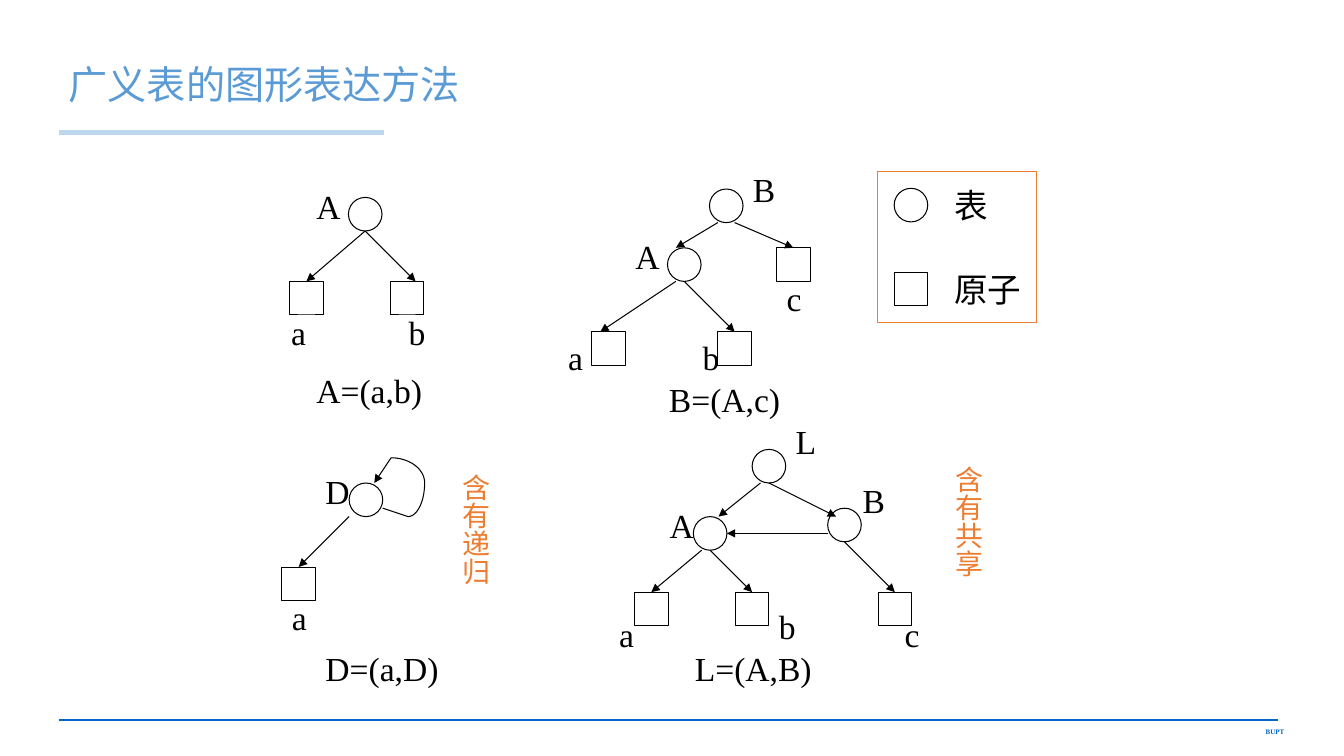
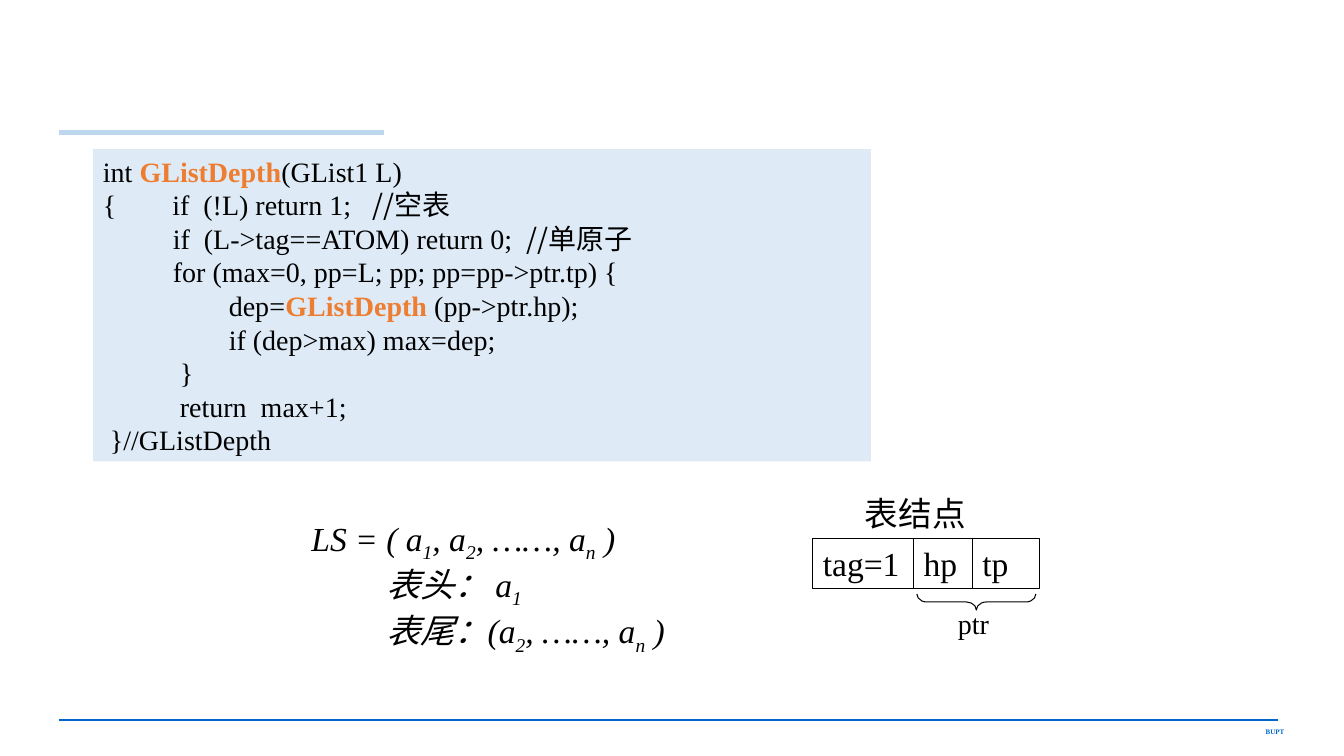
from math import cos, pi, sin

from lxml import etree
from pptx import Presentation
from pptx.dml.color import RGBColor
from pptx.enum.shapes import MSO_CONNECTOR as Link, MSO_SHAPE as Preset
from pptx.enum.text import MSO_ANCHOR as Anchor, PP_ALIGN as Align
from pptx.oxml.ns import qn
from pptx.util import Pt

BLACK, ORANGE, FOOTER_BLUE = "000000", "ED7D31", "0066CC"
TITLE_BLUE, BAND_BLUE, CODE_FILL = "5B9BD5", "BDD7EE", "DEEBF7"
SERIF, HAN = "Times New Roman", "Noto Sans CJK SC"
NODE = 24  # side of every node of a tree


def color(hex_text):
    return RGBColor.from_string(hex_text)


def style(span, size, hue=BLACK, font=SERIF, bold=False, italic=False):
    span.font.size, span.font.name = Pt(size), font
    span.font.bold, span.font.italic = bold, italic
    span.font.color.rgb = color(hue)
    etree.SubElement(span.font._element, qn("a:ea")).set("typeface", HAN)


def set_margins(frame, across=7.2, down=3.6):
    frame.word_wrap = True
    frame.margin_left = frame.margin_right = Pt(across)
    frame.margin_top = frame.margin_bottom = Pt(down)


def add_text(page, words, left, top, width, height=36, size=24, hue=BLACK,
             font=SERIF, bold=False, align=Align.LEFT, anchor=Anchor.TOP):
    box = page.shapes.add_textbox(Pt(left), Pt(top), Pt(width), Pt(height))
    frame = box.text_frame
    set_margins(frame)
    frame.vertical_anchor = anchor
    frame.text = words
    para = frame.paragraphs[0]
    para.alignment = align
    style(para.runs[0], size, hue, font, bold)
    return box


def add_outline(page, preset, left, top, width=NODE, height=NODE, hue=BLACK):
    shape = page.shapes.add_shape(preset, Pt(left), Pt(top), Pt(width), Pt(height))
    shape.shadow.inherit = False
    shape.fill.background()
    shape.line.color.rgb = color(hue)
    shape.line.width = Pt(0.75)
    return shape


def add_line(page, start, end, hue=BLACK, weight=0.75, arrow=False):
    line = page.shapes.add_connector(Link.STRAIGHT, *map(Pt, start + end))
    line.line.color.rgb = color(hue)
    line.line.width = Pt(weight)
    if arrow:
        outline = line.line._get_or_add_ln()
        etree.SubElement(outline, qn("a:tailEnd")).set("type", "triangle")
    etree.SubElement(line._element.spPr, qn("a:effectLst"))
    return line


def add_page(deck, title=None):
    page = deck.slides.add_slide(deck.slide_layouts[6])
    add_line(page, (42, 514), (913.5, 514), FOOTER_BLUE, 1.5)
    add_text(page, "BUPT", 828, 516, 97, 14, 5, FOOTER_BLUE, bold=True,
             align=Align.RIGHT)
    add_line(page, (42, 94.5), (274.5, 94.5), BAND_BLUE, 3.5)
    if title:
        add_text(page, title, 42, 26, 813, 68, 28, TITLE_BLUE, HAN,
                 anchor=Anchor.MIDDLE)
    return page


# Tree diagrams
def add_tree(page, left, top, circles, squares, arrows, labels):
    """Node corners, arrow ends and labels are relative to (left, top)."""
    def place(point):
        return left + point[0], top + point[1]

    for corner in circles:
        add_outline(page, Preset.OVAL, *place(corner))
    square_tops = {(x + NODE / 2, y): add_outline(page, Preset.RECTANGLE, *place((x, y)))
                   for x, y in squares}
    for start, end in arrows:
        arrow = add_line(page, place(start), place(end), arrow=True)
        if end in square_tops:
            arrow.end_connect(square_tops[end], 0)
    for words, x, y, width in labels:
        add_text(page, words, *place((x, y)), width)


def add_quarter_arc(page, center_x, center_y, across, down):
    """Quarter ellipse from (center_x, center_y + down) round to the right."""
    steps = 24
    angles = [pi / 2 * step / steps for step in range(steps + 1)]
    points = [(Pt(center_x + across * sin(angle)), Pt(center_y + down * cos(angle)))
              for angle in angles]
    builder = page.shapes.build_freeform(*points[0], scale=1.0)
    builder.add_line_segments(points[1:], close=False)
    arc = builder.convert_to_shape()
    arc.shadow.inherit = False
    arc.fill.background()
    arc.line.color.rgb = color(BLACK)
    arc.line.width = Pt(0.75)


def add_self_loop(page, left, top):
    add_quarter_arc(page, left, top + 18, 24, -18)
    add_quarter_arc(page, left + 12, top + 18, 12, 24)
    add_line(page, (left - 6, top + 36), (left + 12, top + 42))
    add_line(page, (left, top), (left - 12, top + 18), arrow=True)


def add_legend(page, left, top):
    add_outline(page, Preset.RECTANGLE, left, top, 114, 108, ORANGE)
    entries = [(Preset.OVAL, "表"), (Preset.RECTANGLE, "原子")]
    for row, (preset, words) in enumerate(entries):
        row_top = top + 60 * row
        add_outline(page, preset, left + 12, row_top + 12)
        add_text(page, words, left + 48, row_top + 6, 78)


def add_vertical_note(page, words, left, top):
    note = add_text(page, words, left, top, 38, 119, 20, ORANGE, align=Align.CENTER)
    set_margins(note.text_frame, 3.6, 7.2)
    note.text_frame._txBody.bodyPr.set("vert", "eaVert")


def build_graph_slide(deck):
    page = add_page(deck, "广义表的图形表达方法")
    add_tree(page, 201, 129, circles=[(48, 12)], squares=[(6, 72), (78, 72)],
             arrows=[((60, 36), (18, 72)), ((60, 36), (96, 72))],
             labels=[("A", 18, 0, 54), ("a", 0, 90, 42), ("b", 84, 90, 60),
                     ("A=(a,b)", 18, 132, 168)])
    add_tree(page, 399, 117, circles=[(108, 18), (78, 60)],
             squares=[(156, 60), (24, 120), (114, 120)],
             arrows=[((114, 42), (84, 60)), ((126, 42), (168, 60)),
                     ((84, 84), (30, 120)), ((90, 84), (126, 120))],
             labels=[("B", 132, 0, 54), ("A", 48, 48, 36), ("a", 0, 120, 30),
                     ("b", 96, 120, 36), ("c", 156, 78, 48),
                     ("B=(A,c)", 72, 150, 138)])
    add_tree(page, 201.5, 327, circles=[(48, 18)], squares=[(0, 78)],
             arrows=[((48, 42), (12, 78))],
             labels=[("D", 24, 6, 36), ("a", 0, 96, 24), ("D=(a,D)", 24, 132, 102)])
    add_self_loop(page, 279.5, 327)
    add_tree(page, 435.5, 297, circles=[(102, 24), (60, 72), (156, 66)],
             squares=[(18, 126), (90, 126), (192, 126)],
             arrows=[((108, 48), (78, 72)), ((114, 48), (162, 72)),
                     ((66, 96), (30, 126)), ((72, 96), (102, 126)),
                     ((168, 90), (204, 126)), ((156, 84), (84, 84))],
             labels=[("L", 126, 0, 36), ("A", 36, 60, 48), ("B", 174, 42, 30),
                     ("a", 0, 138, 30), ("b", 114, 132, 36), ("c", 204, 138, 30),
                     ("L=(A,B)", 54, 162, 162)])
    add_legend(page, 627, 122.5)
    add_vertical_note(page, "含有递归", 317.5, 331)
    add_vertical_note(page, "含有共享", 669.5, 325.5)


# Depth function: each line is a list of (text, kind) spans
CODE = [
    [("int ", ""), ("GListDepth", "name"), ("(GList1 L)", "")],
    [("{        if  (!L) return 1;   ", ""), ("//空表", "comment")],
    [("          if  (L->tag==ATOM) return 0;  ", ""), ("//单原子", "comment")],
    [("          for (max=0, pp=L; pp; pp=pp->ptr.tp) {", "")],
    [("                  dep=", ""), ("GListDepth ", "name"), ("(pp->ptr.hp);", "")],
    [("                  if (dep>max) max=dep;", "")],
    [("           }", "")],
    [("           return  max+1;", "")],
    [(" }//GListDepth", "")],
]
CODE_STYLES = {"": {}, "name": {"hue": ORANGE, "bold": True}, "comment": {"font": HAN}}

# List notation: (indent, spans), where every second span is a subscript
NOTATION = [
    (0, ["LS = ( a", "1", ", a", "2", ", ……, a", "n", " )"]),
    (54, ["表头： a", "1"]),
    (54, ["表尾：(a", "2", ", ……, a", "n", " )"]),
]


def add_paragraphs(frame, count, spacing):
    for _ in range(count - 1):
        frame.add_paragraph()
    for para in frame.paragraphs:
        para.alignment = Align.LEFT
        para.line_spacing = Pt(spacing)
    return frame.paragraphs


def add_code(page, left, top, width, height):
    panel = add_outline(page, Preset.RECTANGLE, left, top, width, height)
    panel.fill.solid()
    panel.fill.fore_color.rgb = color(CODE_FILL)
    panel.line.fill.background()
    frame = panel.text_frame
    set_margins(frame)
    frame.vertical_anchor = Anchor.TOP
    for para, spans in zip(add_paragraphs(frame, len(CODE), 24), CODE):
        for words, kind in spans:
            span = para.add_run()
            span.text = words
            style(span, 20, **CODE_STYLES[kind])


def add_notation(page, left, top, width, height):
    box = page.shapes.add_textbox(Pt(left), Pt(top), Pt(width), Pt(height))
    set_margins(box.text_frame)
    paras = add_paragraphs(box.text_frame, len(NOTATION), 33)
    for para, (indent, spans) in zip(paras, NOTATION):
        para._p.get_or_add_pPr().set("marL", str(Pt(indent)))
        for index, words in enumerate(spans):
            span = para.add_run()
            span.text = words
            style(span, 24, italic=True)
            if index % 2:
                span.font._element.set("baseline", "-25000")


def add_list_node(page, left, top):
    add_text(page, "表结点", left + 30, top, 108)
    cell_left = left
    for words, width in [("tag=1", 72), ("hp", 42), ("tp", 48)]:
        cell = add_outline(page, Preset.RECTANGLE, cell_left, top + 36, width, 36)
        set_margins(cell.text_frame)
        cell.text_frame.vertical_anchor = Anchor.TOP
        cell.text_frame.text = words
        para = cell.text_frame.paragraphs[0]
        para.alignment = Align.LEFT
        style(para.runs[0], 24)
        cell_left += width
    brace = add_outline(page, Preset.LEFT_BRACE, left + 111, top + 39, 11.5, 85)
    brace.rotation = 270
    brace.adjustments[0] = 0.62
    add_text(page, "ptr", left + 96.5, top + 81.5, 57, 32, 20)


def build_code_slide(deck):
    page = add_page(deck)
    add_code(page, 66.5, 106.5, 556, 223)
    add_list_node(page, 581, 348.5)
    add_notation(page, 215.5, 366, 304, 106)


def main():
    deck = Presentation()
    deck.slide_width, deck.slide_height = Pt(960.5), Pt(540)
    build_graph_slide(deck)
    build_code_slide(deck)
    deck.save("out.pptx")


if __name__ == "__main__":
    main()
